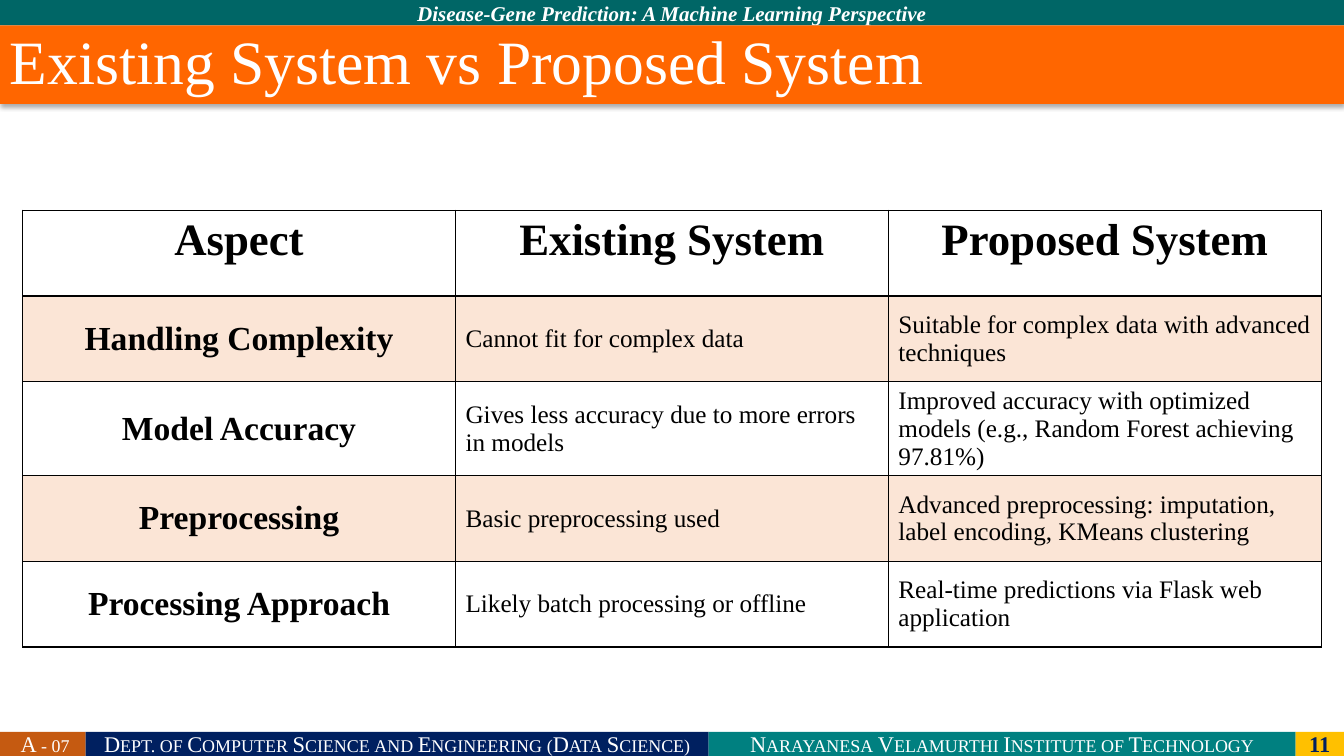
from lxml import etree
from pptx import Presentation
from pptx.dml.color import RGBColor
from pptx.enum import shapes, text
from pptx.oxml import parse_xml
from pptx.oxml.ns import nsdecls, qn
from pptx.util import Cm, Pt

FONT = "Times New Roman"
WIDTH, HEIGHT = 33.87, 19.05
BAND_HEIGHT = 0.64
TITLE_HEIGHT = 1.98
FOOTER_HEIGHT = 0.61

FOOTER_CELLS = [  # text, width in cm, fill, format
    (" A - 07", 2.16, "C55A11", dict(small_caps=True)),
    ("Dept. of Computer Science and Engineering (Data Science)", 15.7,
     "002060", dict(small_caps=True)),
    ("Narayanesa Velamurthi Institute of Technology", 14.79,
     "008080", dict(small_caps=True)),
    ("11", 1.22, "FFC000", dict(bold=True, color="002060")),
]

COMPARISON = [
    ("Aspect", "Existing System", "Proposed System"),
    ("Handling Complexity", "Cannot fit for complex data",
     "Suitable for complex data with advanced techniques"),
    ("Model Accuracy", "Gives less accuracy due to more errors in models",
     "Improved accuracy with optimized models (e.g., Random Forest achieving 97.81%)"),
    ("Preprocessing", "Basic preprocessing used",
     "Advanced preprocessing: imputation, label encoding, KMeans clustering"),
    ("Processing Approach", "Likely batch processing or offline",
     "Real-time predictions via Flask web application"),
]


def rgb(hex_color):
    return RGBColor.from_string(hex_color)


def write(frame, words, size=16, color="FFFFFF", bold=False, italic=False,
          small_caps=False, centred=True, line_spacing=None):
    paragraph = frame.paragraphs[0]
    paragraph.alignment = text.PP_ALIGN.CENTER if centred else text.PP_ALIGN.LEFT
    if line_spacing:
        paragraph.line_spacing = line_spacing
    run = paragraph.add_run()
    run.text = words
    run.font.name = FONT
    run.font.size = Pt(size)
    run.font.bold = bold
    run.font.italic = italic
    run.font.color.rgb = rgb(color)
    if small_caps:
        run.font._element.set("cap", "small")


def add_bar(slide, box, fill, words, **style):
    bar = slide.shapes.add_shape(shapes.MSO_SHAPE.RECTANGLE, *map(Cm, box))
    bar.shadow.inherit = False
    bar.fill.solid()
    bar.fill.fore_color.rgb = rgb(fill)
    bar.line.fill.background()
    bar.text_frame.word_wrap = True
    bar.text_frame.vertical_anchor = text.MSO_ANCHOR.MIDDLE
    write(bar.text_frame, words, **style)
    return bar


def cast_shadow(shape):
    """Give the shape a soft shadow straight below it."""
    effects = shape._element.spPr.find(qn("a:effectLst"))
    effects.append(parse_xml(
        f'<a:outerShdw {nsdecls("a")} blurRad="{Pt(3.5)}" dist="{Pt(2.2)}" '
        'dir="5400000" algn="t" rotWithShape="0"><a:srgbClr val="000000">'
        '<a:alpha val="32000"/></a:srgbClr></a:outerShdw>'))


def outline(cell, color="000000", width=1):
    properties = cell._tc.get_or_add_tcPr()
    for side in ("lnL", "lnR", "lnT", "lnB"):
        line = etree.SubElement(properties, qn(f"a:{side}"), w=str(Pt(width)))
        fill = etree.SubElement(line, qn("a:solidFill"))
        etree.SubElement(fill, qn("a:srgbClr"), val=color)


def add_header(slide, left, top, width):
    add_bar(slide, (left, top, width, BAND_HEIGHT), "006666",
            "Disease-Gene Prediction: A Machine Learning Perspective",
            size=15, bold=True, italic=True)
    title = add_bar(slide, (left, top + BAND_HEIGHT, width, TITLE_HEIGHT), "FF6600",
                    "Existing System vs Proposed System",
                    size=44, centred=False, line_spacing=0.9)
    cast_shadow(title)


def add_footer(slide, left, top, height):
    for words, width, fill, style in FOOTER_CELLS:
        add_bar(slide, (left, top, width, height), fill, words, **style)
        left += width


def add_comparison(slide, left, top, width, height):
    table = slide.shapes.add_table(len(COMPARISON), len(COMPARISON[0]),
                                   *map(Cm, (left, top, width, height))).table
    for row, entries in enumerate(COMPARISON):
        for column, words in enumerate(entries):
            cell = table.cell(row, column)
            outline(cell)
            if row % 2:
                cell.fill.solid()
                cell.fill.fore_color.rgb = rgb("FBE5D6")
            else:
                cell.fill.background()
            heading = row == 0 or column == 0
            if row:
                cell.vertical_anchor = text.MSO_ANCHOR.MIDDLE
            size = 32 if row == 0 else 24 if column == 0 else 18
            write(cell.text_frame, words, size=size, color="000000",
                  bold=heading, centred=heading)


def main():
    deck = Presentation()
    deck.slide_width, deck.slide_height = Cm(WIDTH), Cm(HEIGHT)
    slide = deck.slides.add_slide(deck.slide_layouts[6])
    add_footer(slide, 0, HEIGHT - FOOTER_HEIGHT, FOOTER_HEIGHT)
    add_header(slide, 0, 0, WIDTH)
    add_comparison(slide, 0.57, 5.3, 32.73, 10.8)
    deck.save("out.pptx")


if __name__ == "__main__":
    main()
